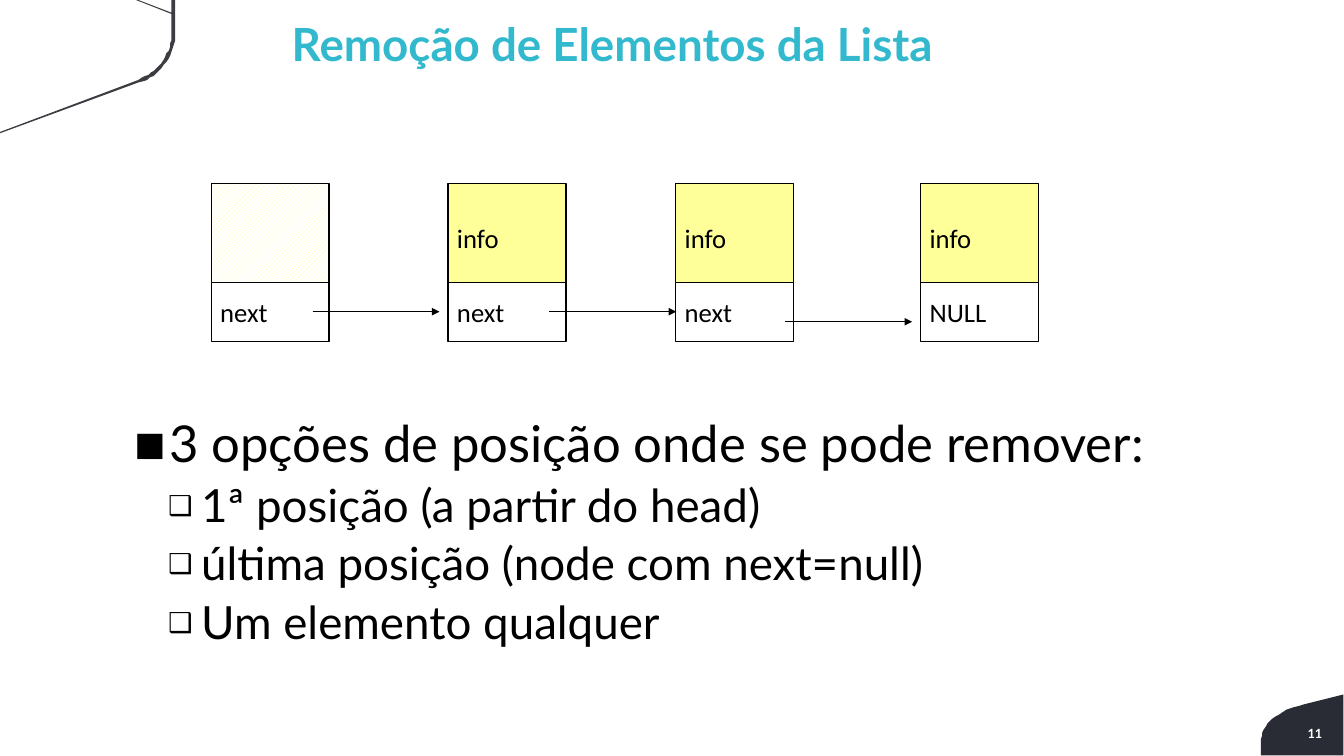
from lxml.etree import SubElement
from pptx import Presentation
from pptx.dml.color import RGBColor
from pptx.enum.dml import MSO_PATTERN
from pptx.enum.shapes import MSO_CONNECTOR, MSO_SHAPE
from pptx.enum.text import MSO_ANCHOR, MSO_AUTO_SIZE, PP_ALIGN
from pptx.oxml.ns import qn
from pptx.util import Pt

BLACK = RGBColor(0, 0, 0)
WHITE = RGBColor(255, 255, 255)
YELLOW = RGBColor(0xFF, 0xFF, 0x99)
TEAL = RGBColor(0x32, 0xB9, 0xCD)
CHARCOAL = RGBColor(0x29, 0x2C, 0x34)
GRAPHITE = RGBColor(0x3B, 0x3D, 0x42)

NODES = [
    (166.3, "", "next"),
    (352.8, "info", "next"),
    (532.1, "info", "next"),
    (725, "info", "NULL"),
]
ARROWS = [(246.3, 245.5), (432.7, 245.5), (618.5, 253.4)]
OPTIONS = [
    (0, "3 opções de posição onde se pode remover:"),
    (1, "1ª posição (a partir do head)"),
    (1, "última posição (node com next=null)"),
    (1, "Um elemento qualquer"),
]
BULLETS = [("■", "65000", 40, 27.4, -27.4), ("❑", "60000", 36, 52.6, -25.9)]


def curve(start, pull_start, pull_end, end, steps=16):
    """Return points along a cubic curve."""
    points = []
    for step in range(steps + 1):
        t = step / steps
        weights = ((1 - t) ** 3, 3 * t * (1 - t) ** 2, 3 * t * t * (1 - t), t ** 3)
        points.append(tuple(
            sum(weight * value for weight, value in zip(weights, axis))
            for axis in zip(start, pull_start, pull_end, end)))
    return points


def add_outline(slide, left, top, points, color):
    """Fill a closed outline whose points are relative to left and top."""
    placed = [(left + x, top + y) for x, y in points]
    builder = slide.shapes.build_freeform(*placed[0], scale=Pt(1))
    builder.add_line_segments(placed[1:], close=True)
    outline = builder.convert_to_shape()
    outline.shadow.inherit = False
    outline.fill.solid()
    outline.fill.fore_color.rgb = color
    outline.line.fill.background()


def add_run(paragraph, text, size, font, color, bold=False):
    """Append one formatted run."""
    run = paragraph.add_run()
    run.text = text
    run.font.size = Pt(size)
    run.font.name = font
    run.font.color.rgb = color
    run.font.bold = bold


def place(part, left, top, width, height):
    """Move and size a part, in points."""
    part.left, part.top, part.width, part.height = map(Pt, (left, top, width, height))


def add_corner_ribbon(slide, left, top):
    """Draw the thin ribbon in the top corner."""
    outer = curve((113, 64), (127.4, 57.6), (138.2, 42.5), (138.2, 26))
    inner = curve((135.4, 26), (135.4, 41), (125.3, 56.2), (111.6, 61.2))
    points = [(0, 105.1), (108.7, 64.8), *outer, (138.2, 0), (135.4, 0),
              (135.4, 10.1), (108.7, 0), (106.6, 0), (135.4, 10.8),
              *inner, (109, 63.4), (0, 104.4)]
    add_outline(slide, left, top, points, GRAPHITE)


def add_page_tab(slide, left, top, width, height, number):
    """Draw the bottom corner tab and its page number."""
    edge = curve((33.1, 7.9), (14.4, 12.2), (0, 23), (0, 37.4))
    add_outline(slide, left, top, [(width, 0), *edge, (0, height), (width, height)], CHARCOAL)
    page = slide.shapes.add_textbox(Pt(left), Pt(top + 22.3), Pt(49.7), Pt(16.6))
    frame = page.text_frame
    frame.word_wrap = True
    frame.vertical_anchor = MSO_ANCHOR.MIDDLE
    frame.margin_left = frame.margin_right = Pt(1.4)
    frame.margin_top = frame.margin_bottom = Pt(0.7)
    frame.paragraphs[0].alignment = PP_ALIGN.RIGHT
    add_run(frame.paragraphs[0], number, 10, "Lato", WHITE, True)


def fill_heading(heading, box, text):
    """Place the title and write it."""
    place(heading, *box)
    frame = heading.text_frame
    frame.auto_size = MSO_AUTO_SIZE.NONE
    frame.vertical_anchor = MSO_ANCHOR.TOP
    frame.paragraphs[0].alignment = PP_ALIGN.LEFT
    add_run(frame.paragraphs[0], text, 36, "Lato", TEAL, True)


def set_bullet(paragraph, mark, percent, margin, indent):
    """Give a paragraph its bullet and hanging indent."""
    properties = paragraph._p.get_or_add_pPr()
    properties.set("marL", str(Pt(margin)))
    properties.set("indent", str(Pt(indent)))
    color = SubElement(properties, qn("a:buClr"))
    SubElement(color, qn("a:srgbClr"), val=str(BLACK))
    SubElement(properties, qn("a:buSzPct"), val=percent)
    SubElement(properties, qn("a:buFont"), typeface="Lato")
    SubElement(properties, qn("a:buChar"), char=mark)


def fill_options(body, box, options):
    """Place the body and write the bulleted options."""
    place(body, *box)
    frame = body.text_frame
    frame.auto_size = MSO_AUTO_SIZE.NONE
    frame.vertical_anchor = MSO_ANCHOR.TOP
    for index, (level, text) in enumerate(options):
        paragraph = frame.add_paragraph() if index else frame.paragraphs[0]
        mark, percent, size, margin, indent = BULLETS[level]
        paragraph.level = level
        paragraph.line_spacing = 0.9
        paragraph.space_before = Pt(0.2 * size if index else 0)
        set_bullet(paragraph, mark, percent, margin, indent)
        add_run(paragraph, text, size, "Lato", BLACK)


def add_cell(slide, left, top, width, height, text, color):
    """Draw one field of a node; without text it is hatched."""
    cell = slide.shapes.add_shape(MSO_SHAPE.RECTANGLE, Pt(left), Pt(top), Pt(width), Pt(height))
    cell.shadow.inherit = False
    cell.line.color.rgb = BLACK
    cell.line.width = Pt(1)
    if not text:
        cell.fill.patterned()
        cell.fill.pattern = MSO_PATTERN.WIDE_UPWARD_DIAGONAL
        cell.fill.fore_color.rgb = color
        cell.fill.back_color.rgb = WHITE
        return
    cell.fill.solid()
    cell.fill.fore_color.rgb = color
    frame = cell.text_frame
    frame.word_wrap = True
    frame.vertical_anchor = MSO_ANCHOR.MIDDLE
    frame.paragraphs[0].alignment = PP_ALIGN.LEFT
    add_run(frame.paragraphs[0], text, 21, "Calibri", BLACK)


def add_link(slide, left, y, length):
    """Draw an arrow to the next node."""
    link = slide.shapes.add_connector(
        MSO_CONNECTOR.STRAIGHT, Pt(left), Pt(y), Pt(left + length), Pt(y))
    link.line.color.rgb = BLACK
    link.line.width = Pt(1)
    SubElement(link.line._get_or_add_ln(), qn("a:tailEnd"), type="triangle")
    SubElement(link._element.spPr, qn("a:effectLst"))


def add_linked_list(slide, top, width):
    """Draw the nodes of the list and the arrows between them."""
    for left, info, pointer in NODES:
        add_cell(slide, left, top, width, 85.7, info, YELLOW)
        add_cell(slide, left, top + 77.8, width, 46.8, pointer, WHITE)
    for left, y in ARROWS:
        add_link(slide, left, y, 99.8)


def main():
    """Build and save the slide."""
    deck = Presentation()
    deck.slide_width, deck.slide_height = Pt(1058.4), Pt(595.44)
    slide = deck.slides.add_slide(deck.slide_layouts[1])
    add_corner_ribbon(slide, 0, 0)
    add_page_tab(slide, 992.9, 547.2, 65.5, 48.2, "11")
    fill_heading(slide.shapes.title, (222.5, 8.6, 798.5, 60.5), "Remoção de Elementos da Lista")
    fill_options(slide.placeholders[1], (98.6, 326.2, 894.2, 232.6), OPTIONS)
    add_linked_list(slide, 144.7, 92.9)
    deck.save("out.pptx")


main()
